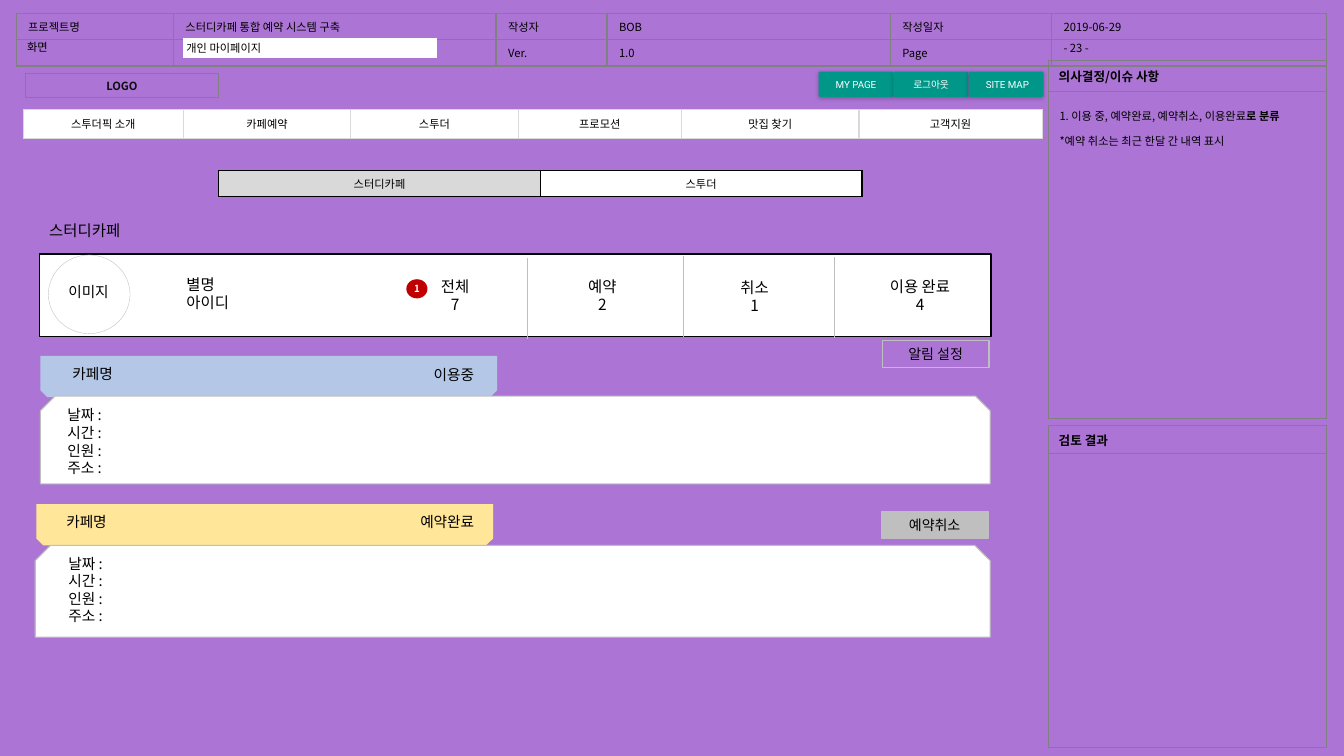
from lxml import etree
from pptx import Presentation
from pptx.dml.color import RGBColor
from pptx.enum.shapes import MSO_CONNECTOR, MSO_SHAPE
from pptx.enum.text import MSO_ANCHOR, PP_ALIGN
from pptx.oxml import parse_xml
from pptx.oxml.ns import nsdecls, qn
from pptx.util import Inches, Pt

LEFT, CENTER, RIGHT, JUSTIFY = PP_ALIGN.LEFT, PP_ALIGN.CENTER, PP_ALIGN.RIGHT, PP_ALIGN.JUSTIFY
TOP, MIDDLE = MSO_ANCHOR.TOP, MSO_ANCHOR.MIDDLE
RECT, OVAL = MSO_SHAPE.RECTANGLE, MSO_SHAPE.OVAL
ROUNDED, SNIPPED = MSO_SHAPE.ROUNDED_RECTANGLE, MSO_SHAPE.SNIP_2_SAME_RECTANGLE
STRAIGHT = MSO_CONNECTOR.STRAIGHT

PURPLE = RGBColor(0xAC, 0x75, 0xD5)
BLACK = RGBColor(0x00, 0x00, 0x00)
INK = RGBColor(0x0D, 0x0D, 0x0D)
WHITE = RGBColor(0xFF, 0xFF, 0xFF)
GRAY = RGBColor(0x80, 0x80, 0x80)
SILVER = RGBColor(0xBF, 0xBF, 0xBF)
PALE = RGBColor(0xD9, 0xD9, 0xD9)
RED = RGBColor(0xC0, 0x00, 0x00)
TEAL = RGBColor(0x00, 0x96, 0x88)
BLUE = RGBColor(0xB4, 0xC7, 0xE7)
YELLOW = RGBColor(0xFF, 0xE6, 0x99)
KOREAN = "Noto Sans CJK KR"

deck = Presentation()
deck.slide_width, deck.slide_height = Inches(13.33), Inches(7.5)
page = deck.slides.add_slide(deck.slide_layouts[6])
page.background.fill.solid()
page.background.fill.fore_color.rgb = PURPLE


def write(frame, lines, size, align=LEFT, color=BLACK, bold=False, font=KOREAN):
    for index, line in enumerate(lines):
        para = frame.add_paragraph() if index else frame.paragraphs[0]
        para.alignment = align
        span = para.add_run()
        span.text = line
        span.font.size, span.font.bold, span.font.name = Pt(size), bold, font
        span.font.color.rgb = color
        east = etree.SubElement(span.font._element, qn("a:ea"))
        east.set("typeface", font)


def draw(kind, area, fill=None, line=None, width=0.75):
    shape = page.shapes.add_shape(kind, *map(Inches, area))
    shape.shadow.inherit = False
    if fill is None:
        shape.fill.background()
    else:
        shape.fill.solid()
        shape.fill.fore_color.rgb = fill
    if line is None:
        shape.line.fill.background()
    else:
        shape.line.color.rgb = line
        shape.line.width = Pt(width)
    return shape


side = 0.12
tables = [
    (0.16, 0.13, [1.56, 3.2, 1.1, 2.81, 1.6, 2.73], [0.24, 0.24], GRAY, side, TOP, LEFT, 8, False, [None] * 6,
     [["프로젝트명", "스터디카페 통합 예약 시스템 구축", "작성자", "BOB", "작성일자", "2019-06-29"],
      ["", "", "Ver.", "1.0", "Page", ""]]),
    (10.4, 0.6, [2.76], [0.31, 3.24], GRAY, 0.1, MIDDLE, LEFT, 9, True, [None],
     [["의사결정/이슈 사항"], [""]]),
    (10.4, 4.22, [2.76], [0.28, 2.91], GRAY, 0.1, MIDDLE, LEFT, 9, True, [None],
     [["검토 결과"], [""]]),
    (0.23, 1.09, [1.59, 1.66, 1.66, 1.62, 1.76, 1.82], [0.28], PALE, side, MIDDLE, CENTER, 8, False, [WHITE] * 6,
     [["스투더픽 소개", "카페예약", "스투더", "프로모션", "맛집 찾기", "고객지원"]]),
    (2.17, 1.69, [3.19, 3.19], [0.26], BLACK, 0.1, MIDDLE, CENTER, 8, False, [PALE, WHITE],
     [["스터디카페", "스투더"]]),
]
for left, top, widths, heights, border, inset, anchor, align, size, bold, fills, rows in tables:
    grid = page.shapes.add_table(len(heights), len(widths), Inches(left), Inches(top),
                                 Inches(sum(widths)), Inches(sum(heights))).table
    grid.first_row = grid.horz_banding = False
    for column, width in zip(grid.columns, widths):
        column.width = Inches(width)
    for row, height, labels in zip(grid.rows, heights, rows):
        row.height = Inches(height)
        for cell, label, fill in zip(row.cells, labels, fills):
            cell.margin_left = cell.margin_right = Inches(inset)
            cell.vertical_anchor = anchor
            if label:
                write(cell.text_frame, [label], size, align, bold=bold)
            else:
                end = etree.SubElement(cell.text_frame.paragraphs[0]._p, qn("a:endParaRPr"))
                end.set("sz", str(size * 100))
            if fill is None:
                cell.fill.background()
            else:
                cell.fill.solid()
                cell.fill.fore_color.rgb = fill
            for index, edge in enumerate(("lnL", "lnR", "lnT", "lnB")):
                cell._tc.get_or_add_tcPr().insert(index, parse_xml(
                    f'<a:{edge} {nsdecls("a")} w="12700"><a:solidFill>'
                    f'<a:srgbClr val="{border}"/></a:solidFill></a:{edge}>'))

logo = draw(RECT, (0.25, 0.73, 1.92, 0.24), line=GRAY)
logo.text_frame.vertical_anchor = MIDDLE
write(logo.text_frame, ["LOGO"], 8, CENTER, INK, True)
draw(RECT, (1.82, 0.38, 2.51, 0.19), WHITE, WHITE, 1)

draw(RECT, (0.39, 2.52, 9.44, 0.82), WHITE, BLACK, 1)
draw(OVAL, (0.48, 2.53, 0.81, 0.78), WHITE, SILVER, 0.25)
for x, y in ((5.23, 2.56), (6.78, 2.54), (8.28, 2.55)):
    divider = page.shapes.add_connector(STRAIGHT, Inches(x), Inches(y), Inches(x), Inches(y + 0.8))
    divider.line.color.rgb = SILVER
    divider.line.width = Pt(0.5)
    etree.SubElement(divider._element.spPr, qn("a:effectLst"))

badge = draw(OVAL, (4.03, 2.77, 0.21, 0.19), RED)
frame = badge.text_frame
frame.margin_left = frame.margin_right = frame.margin_top = frame.margin_bottom = 0
frame.vertical_anchor = MIDDLE
frame.word_wrap = False
write(frame, ["1"], 7, CENTER, WHITE, True)

for tab, card, fill in (
    ((0.4, 3.53, 4.53, 0.41), (0.4, 3.93, 9.42, 0.87), BLUE),
    ((0.36, 5, 4.53, 0.41), (0.35, 5.41, 9.47, 0.91), YELLOW),
):
    draw(SNIPPED, tab, fill).rotation = 180
    draw(SNIPPED, card, WHITE, SILVER)

for label, area, fill in (("알림 설정", (8.75, 3.38, 1.06, 0.27), None),
                          ("예약취소", (8.74, 5.07, 1.06, 0.27), SILVER)):
    button = draw(RECT, area, fill, SILVER, 0)
    button.text_frame.vertical_anchor = MIDDLE
    write(button.text_frame, [label], 10, CENTER)

details = ["날짜 :", "시간 :", "인원 :", "주소 :"]
texts = [
    ((1.75, 0.38, 2.62, 0.2), ["개인 마이페이지"], 8, LEFT, MIDDLE),
    ((10.45, 0.36, 1.07, 0.24), ["- 23 -"], 8, LEFT, TOP),
    ((0.17, 0.35, 0.6, 0.24), ["화면"], 8, LEFT, TOP),
    ((0.39, 2.14, 2.73, 0.29), ["스터디카페"], 11, LEFT, TOP),
    ((1.75, 2.68, 2.01, 0.47), ["별명", "아이디"], 11, LEFT, TOP),
    ((0.58, 2.76, 0.81, 0.29), ["이미지"], 10.5, LEFT, TOP),
    ((3.81, 2.7, 1.41, 0.47), ["전체", "7"], 11, CENTER, TOP),
    ((5.27, 2.7, 1.41, 0.47), ["예약", "2"], 11, CENTER, TOP),
    ((6.78, 2.71, 1.41, 0.47), ["취소", "1"], 11, CENTER, TOP),
    ((8.42, 2.7, 1.41, 0.47), ["이용 완료", "4"], 11, CENTER, TOP),
    ((0.62, 3.57, 1.88, 0.29), ["카페명"], 10.5, LEFT, TOP),
    ((2.92, 3.58, 1.88, 0.29), ["이용중"], 10.5, RIGHT, TOP),
    ((0.57, 3.98, 3.68, 0.81), details, 10.5, LEFT, TOP),
    ((0.56, 5.04, 1.88, 0.29), ["카페명"], 10.5, LEFT, TOP),
    ((2.92, 5.04, 1.88, 0.29), ["예약완료"], 10.5, RIGHT, TOP),
    ((0.58, 5.45, 3.68, 0.81), details, 10.5, LEFT, TOP),
]
for area, lines, size, align, anchor in texts:
    frame = page.shapes.add_textbox(*map(Inches, area)).text_frame
    frame.word_wrap = True
    frame.vertical_anchor = anchor
    write(frame, lines, size, align)

notes = page.shapes.add_textbox(Inches(10.41), Inches(1.04), Inches(2.62), Inches(2.41)).text_frame
notes.word_wrap = True
write(notes, ["1. 이용 중, 예약완료, 예약취소, 이용완료", "*예약 취소는 최근 한달 간 내역 표시"], 8)
notes.paragraphs[1].space_before = Pt(7.6)
span = notes.paragraphs[0].add_run()
span.text = "로 분류"
span.font.size, span.font.bold, span.font.name = Pt(8), True, KOREAN
span.font.color.rgb = BLACK

for index, label in enumerate(("MY PAGE", "로그아웃", " SITE MAP")):
    button = draw(ROUNDED, (8.12 + 0.745 * index, 0.71, 0.74, 0.25), TEAL)
    button.adjustments[0] = 0.05
    button._element.spPr.find(qn("a:effectLst")).append(parse_xml(
        f'<a:outerShdw {nsdecls("a")} blurRad="38100" dist="12700" dir="5400000">'
        '<a:srgbClr val="000000"><a:alpha val="25000"/></a:srgbClr></a:outerShdw>'))
    button.text_frame.margin_left = button.text_frame.margin_right = Inches(0.08)
    button.text_frame.vertical_anchor = MIDDLE
    write(button.text_frame, [label], 7, CENTER, WHITE, font="Roboto")

deck.save("out.pptx")
